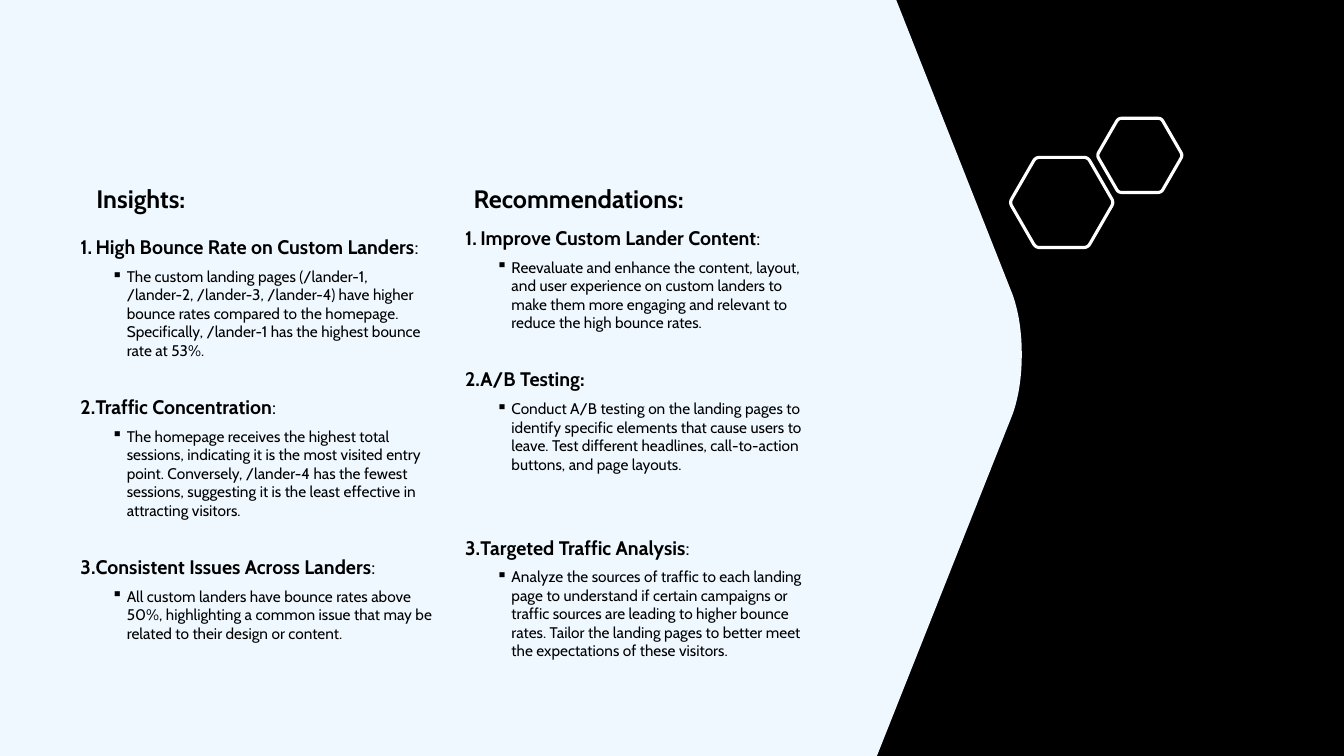
import math

from lxml import etree
from pptx import Presentation
from pptx import util as u
from pptx.dml.color import RGBColor
from pptx.enum import shapes, text
from pptx.oxml.ns import qn

COLUMNS, ROWS = 16, 9
CELL = u.Inches(7.5) // ROWS
BLACK, WHITE, PALE = "000000", "FFFFFF", "EFF8FF"
FONT = "Cabin"
GAP = 19.3  # points between one finding and the next

# Each finding: heading, its unbolded ending, detail, number of gaps above
INSIGHTS = [
    ("High Bounce Rate on Custom Landers", ":",
     "The custom landing pages (/lander-1, /lander-2, /lander-3, /lander-4) have higher "
     "bounce rates compared to the homepage. Specifically, /lander-1 has the highest "
     "bounce rate at 53%.", 0),
    ("Traffic Concentration", ":",
     "The homepage receives the highest total sessions, indicating it is the most visited "
     "entry point. Conversely, /lander-4 has the fewest sessions, suggesting it is the "
     "least effective in attracting visitors.", 1),
    ("Consistent Issues Across Landers", ":",
     "All custom landers have bounce rates above 50%, highlighting a common issue that may "
     "be related to their design or content.", 1),
]
RECOMMENDATIONS = [
    ("Improve Custom Lander Content", ":",
     "Reevaluate and enhance the content, layout, and user experience on custom landers to "
     "make them more engaging and relevant to reduce the high bounce rates.", 0),
    ("A/B Testing:", "",
     "Conduct A/B testing on the landing pages to identify specific elements that cause "
     "users to leave. Test different headlines, call-to-action buttons, and page layouts.", 1),
    ("Targeted Traffic Analysis", ":",
     "Analyze the sources of traffic to each landing page to understand if certain "
     "campaigns or traffic sources are leading to higher bounce rates. Tailor the landing "
     "pages to better meet the expectations of these visitors.", 2),
]


def colour(value):
    return RGBColor.from_string(value)


def cells(*counts):
    return [round(count * CELL) for count in counts]


def paint(shape, fill=None, line=None):
    shape.shadow.inherit = False
    if fill:
        shape.fill.solid()
        shape.fill.fore_color.rgb = colour(fill)
    else:
        shape.fill.background()
    if line:
        shape.line.color.rgb = colour(line)
        shape.line.width = u.Pt(2.25)
    else:
        shape.line.fill.background()


def curve(*controls, steps=16):
    """Return points along the Bezier curve of any degree."""
    degree = len(controls) - 1
    points = []
    for step in range(steps + 1):
        t = step / steps
        weights = [math.comb(degree, i) * t**i * (1 - t)**(degree - i)
                   for i in range(degree + 1)]
        points.append(tuple(sum(w * p[axis] for w, p in zip(weights, controls))
                            for axis in (0, 1)))
    return points


def add_outline(container, points, **paints):
    start, *others = [cells(*point) for point in points]
    builder = container.build_freeform(*start)
    builder.add_line_segments(others, close=True)
    paint(builder.convert_to_shape(), **paints)


def add_hexagon(container, x, y, side, rounding=0.08):
    corners = [(x + side * math.cos(k * math.pi / 3), y + side * math.sin(k * math.pi / 3))
               for k in range(6)]
    points = []
    for k, corner in enumerate(corners):
        before, after = [tuple(c + rounding * (n - c) for c, n in zip(corner, neighbour))
                         for neighbour in (corners[k - 1], corners[(k + 1) % 6])]
        points += curve(before, corner, after, steps=6)
    add_outline(container, points, line=WHITE)


def add_text_box(page, *place):
    frame = page.shapes.add_textbox(*cells(*place)).text_frame
    frame.word_wrap = True
    frame.auto_size = text.MSO_AUTO_SIZE.SHAPE_TO_FIT_TEXT
    return frame


def style(para, size, bold=False):
    para.space_after = u.Pt(6)
    para.font.name = FONT
    para.font.size = u.Pt(size)
    para.font.bold = bold
    para.font.color.rgb = colour(BLACK)


def add_bullet(para, margin, kind, **attributes):
    properties = para._p.get_or_add_pPr()
    properties.set("marL", str(u.Inches(margin)))
    properties.set("indent", str(-u.Inches(0.15)))
    bullet = etree.Element(qn(kind), attributes)
    # A bullet stands before the default run properties
    properties.find(qn("a:defRPr")).addprevious(bullet)


def add_title(page, title, *place):
    para = add_text_box(page, *place).paragraphs[0]
    para.text = title
    style(para, 18, bold=True)


def add_findings(page, findings, *place):
    frame = add_text_box(page, *place)
    for number, (heading, ending, detail, gaps) in enumerate(findings, 1):
        para = frame.paragraphs[0] if number == 1 else frame.add_paragraph()
        style(para, 14, bold=True)
        para.space_before = u.Pt(gaps * GAP)
        add_bullet(para, 0.15, "a:buAutoNum", type="arabicPeriod", startAt=str(number))
        para.add_run().text = heading
        if ending:
            span = para.add_run()
            span.text = ending
            span.font.bold = False
        para = frame.add_paragraph()
        para.text = detail
        para.level = 1
        style(para, 11)
        add_bullet(para, 0.46, "a:buChar", char="▪")


def main():
    deck = Presentation()
    deck.slide_width, deck.slide_height = cells(COLUMNS, ROWS)
    page = deck.slides.add_slide(deck.slide_layouts[6])
    page.background.fill.solid()
    page.background.fill.fore_color.rgb = colour(PALE)

    backdrop = page.shapes.add_shape(shapes.MSO_SHAPE.RECTANGLE, 0, 0, *cells(COLUMNS, ROWS))
    paint(backdrop, fill=BLACK)
    tip = curve((12.06, 3.52), (12.2, 3.92), (12.2, 4.52), (12.06, 4.92))
    add_outline(page.shapes, [(0, 0), (10.67, 0), *tip, (10.44, ROWS), (0, ROWS)], fill=PALE)

    hexagons = page.shapes.add_group_shape().shapes
    add_hexagon(hexagons, 12.64, 2.41, 0.62)
    add_hexagon(hexagons, 13.57, 1.85, 0.51)

    add_findings(page, INSIGHTS, 0.84, 2.74, 4.57, 4.79)
    add_findings(page, RECOMMENDATIONS, 5.42, 2.63, 4.44, 5.33)
    add_title(page, "Recommendations:", 5.52, 2.12, 3.79, 0.48)
    add_title(page, "Insights:", 1.03, 2.12, 2.09, 0.48)
    deck.save("out.pptx")


if __name__ == "__main__":
    main()
